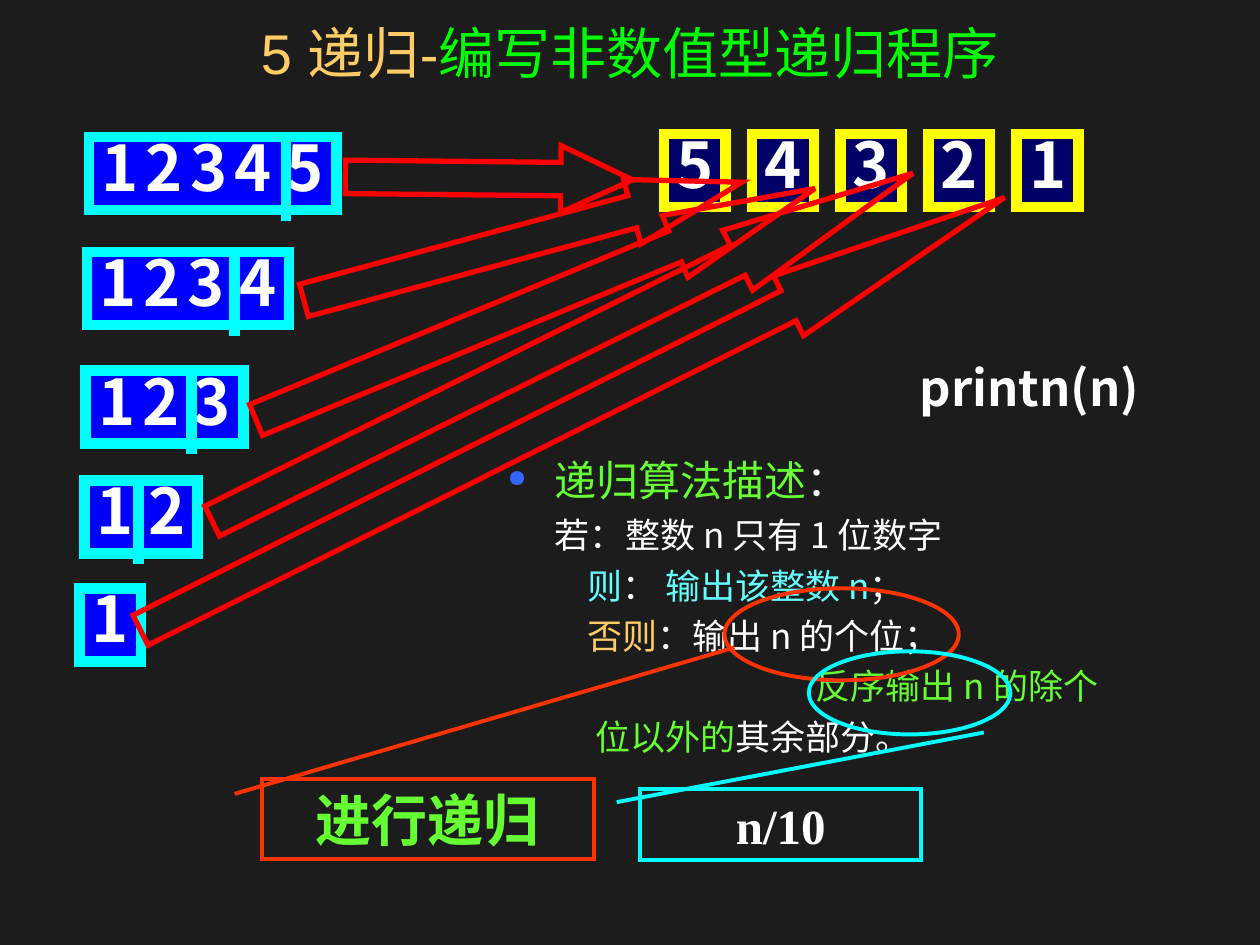
import pptx
import pptx.dml.color
import pptx.enum.shapes
import pptx.enum.text
import pptx.oxml.ns
import pptx.util
from lxml import etree

Pt = pptx.util.Pt
qn = pptx.oxml.ns.qn
SHAPE = pptx.enum.shapes.MSO_SHAPE
ALIGN = pptx.enum.text.PP_ALIGN
ANCHOR = pptx.enum.text.MSO_ANCHOR
FIT = pptx.enum.text.MSO_AUTO_SIZE

CJK = "Noto Sans CJK SC"
WHITE, CYAN, RED, ORANGE = "FFFFFF", "00FFFF", "FF0000", "FF3300"
GREEN, PALE_CYAN, GOLD = "66FF33", "66FFFF", "FFCC66"

TITLE = [("5 递归-", GOLD), ("编写非数值型递归程序", "00FF00")]
# digits, left, top, width, x of the bar before the last digit
NUMBERS = [
    ("12345", 51, 78.2, 141.2, 163.4),
    ("1234", 49.7, 144, 115.4, 133.9),
    ("123", 49, 211.7, 90.2, 109.4),
    ("12", 48.2, 274.5, 64.8, 79.2),
    ("1", 45.4, 336.2, 35.3, None),
]
OUTPUT_DIGITS = "54321"
# left, top, length, rotation
ARROWS = [
    (197.3, 82.8, 164.2, 0.6),
    (169.2, 118.8, 259.2, 344.9),
    (133.2, 154.8, 345.6, 337.5),
    (97.9, 179.3, 447.1, 333.6),
    (51.1, 217.4, 552.2, 333.4),
]
# indent, size, coloured parts
ALGORITHM = [
    (27, 24, [("递归算法描述", GREEN), ("：", WHITE)]),
    (27, 20, [("若：整数 n 只有 1 位数字", WHITE)]),
    (45.5, 20, [("则", PALE_CYAN), ("： ", WHITE), ("输出该整数 n", PALE_CYAN), ("；", WHITE)]),
    (45.5, 20, [("否则", GOLD), ("：输出 n 的个位；", WHITE)]),
    (176, 20, [("反序输出 n 的除个", GREEN)]),
    (50, 20, [("位以外的", GREEN), ("其余部分。", WHITE)]),
]
# ellipse box, note box, pointer adjustments, line colour, text, size, text colour
NOTES = [
    ((414, 336.2, 133.9, 52.6), (149.8, 445, 189.4, 46.1),
     (0.188, -0.083, -1.627, 1.425), ORANGE, "进行递归", 32, GREEN),
    ((462.2, 372.2, 115.2, 47.5), (365.8, 450.7, 160.6, 41),
     (0.188, -0.083, -0.784, 1.223), CYAN, "n/10", 28, WHITE),
]
BOX_HEIGHT, BAR_LENGTH, ARROW_HEIGHT = 41.8, 48, 38.2
OUTPUT_LEFT, OUTPUT_TOP, OUTPUT_WIDTH, OUTPUT_STEP = 379.4, 76.6, 35.3, 50.4


def rgb(color):
    return pptx.dml.color.RGBColor.from_string(color)


def set_font(paragraph, size, name, color=None, bold=False):
    font = paragraph.font
    font.size, font.bold = Pt(size), bold
    if color:
        font.color.rgb = rgb(color)
    font.name = name
    etree.SubElement(font._element, qn("a:ea")).set("typeface", CJK)


def add_parts(paragraph, parts):
    for text, color in parts:
        run = paragraph.add_run()
        run.text = text
        run.font.color.rgb = rgb(color)


def add_bullet(paragraph, char, color, percent):
    properties = paragraph._p.get_or_add_pPr()
    bullet_color = etree.SubElement(properties, qn("a:buClr"))
    etree.SubElement(bullet_color, qn("a:srgbClr")).set("val", color)
    etree.SubElement(properties, qn("a:buSzPct")).set("val", str(percent * 1000))
    etree.SubElement(properties, qn("a:buChar")).set("char", char)


def add_shape(kind, box, line, weight, fill=None):
    shape = slide.shapes.add_shape(kind, *map(Pt, box))
    shape.shadow.inherit = False
    if fill:
        shape.fill.solid()
        shape.fill.fore_color.rgb = rgb(fill)
    else:
        shape.fill.background()
    shape.line.color.rgb = rgb(line)
    shape.line.width = Pt(weight)
    # square corners
    etree.SubElement(shape.line._get_or_add_ln(), qn("a:miter")).set("lim", "800000")
    return shape


def add_text_box(*box):
    frame = slide.shapes.add_textbox(*map(Pt, box)).text_frame
    frame.word_wrap = True
    return frame


def add_digits(digits, box, line, fill):
    """Box of spaced digits; every gap but the last is narrow."""
    frame = add_shape(SHAPE.RECTANGLE, box, line, 6, fill).text_frame
    frame.word_wrap = False
    frame.auto_size = FIT.SHAPE_TO_FIT_TEXT
    frame.vertical_anchor = ANCHOR.TOP
    frame.margin_right = 0  # room for the last digit
    paragraph = frame.paragraphs[0]
    paragraph.alignment = ALIGN.LEFT
    paragraph.line_spacing = 0.8
    set_font(paragraph, 36, CJK, WHITE, bold=True)
    for digit in digits[:-2]:
        paragraph.add_run().text = digit
        gap = paragraph.add_run()
        gap.text = " "
        gap.font.size = Pt(18)
    paragraph.add_run().text = " ".join(digits[-2:])


def add_bar(x, top):
    bar = slide.shapes.add_connector(
        pptx.enum.shapes.MSO_CONNECTOR.STRAIGHT, Pt(x), Pt(top), Pt(x), Pt(top + BAR_LENGTH))
    bar.line.color.rgb = rgb(CYAN)
    bar.line.width = Pt(6)
    etree.SubElement(bar._element.spPr, qn("a:effectLst"))


deck = pptx.Presentation()
deck.slide_width, deck.slide_height = Pt(720), Pt(540)
slide = deck.slides.add_slide(deck.slide_layouts[6])
slide.background.fill.solid()
slide.background.fill.fore_color.rgb = rgb("1C1C1C")

for digits, left, top, width, bar_x in NUMBERS:
    add_digits(digits, (left, top, width, BOX_HEIGHT), CYAN, "0000FF")
    if bar_x:
        add_bar(bar_x, top)

for i, digit in enumerate(OUTPUT_DIGITS):
    box = (OUTPUT_LEFT + i * OUTPUT_STEP, OUTPUT_TOP, OUTPUT_WIDTH, BOX_HEIGHT)
    add_digits(digit, box, "FFFF00", "000066")

for left, top, length, rotation in ARROWS:
    arrow = add_shape(SHAPE.RIGHT_ARROW, (left, top, length, ARROW_HEIGHT), RED, 3)
    arrow.rotation = rotation
    arrow.adjustments[1] = length / 4 / ARROW_HEIGHT  # head takes a quarter

algorithm = add_text_box(283, 250.6, 383, 186.5)
for i, (indent, size, parts) in enumerate(ALGORITHM):
    step = algorithm.add_paragraph() if i else algorithm.paragraphs[0]
    step.alignment = ALIGN.JUSTIFY
    step.line_spacing = 1.2
    properties = step._p.get_or_add_pPr()
    properties.set("marL", str(Pt(indent)))
    properties.set("indent", str(0 if i else -Pt(indent)))
    if i == 0:
        add_bullet(step, "●", "3366FF", 57)
    set_font(step, size, CJK)
    add_parts(step, parts)

for ellipse, box, pointer, line, text, size, color in NOTES:
    add_shape(SHAPE.OVAL, ellipse, line, 2.25)
    note = add_shape(SHAPE.LINE_CALLOUT_1, box, line, 2.25)
    for i, value in enumerate(pointer):
        note.adjustments[i] = value
    note.text_frame.vertical_anchor = ANCHOR.MIDDLE
    note.text_frame.text = text
    label = note.text_frame.paragraphs[0]
    label.alignment = ALIGN.CENTER
    set_font(label, size, "Times New Roman", color, bold=True)

call = add_text_box(518.4, 200.9, 147.6, 41)
call.text = "printn(n)"
set_font(call.paragraphs[0], 28, CJK, WHITE, bold=True)

title = add_text_box(54, 5.8, 612, 48.2)
title.vertical_anchor = ANCHOR.MIDDLE
title.paragraphs[0].alignment = ALIGN.CENTER
set_font(title.paragraphs[0], 32, "Arial")
add_parts(title.paragraphs[0], TITLE)

deck.save("out.pptx")
